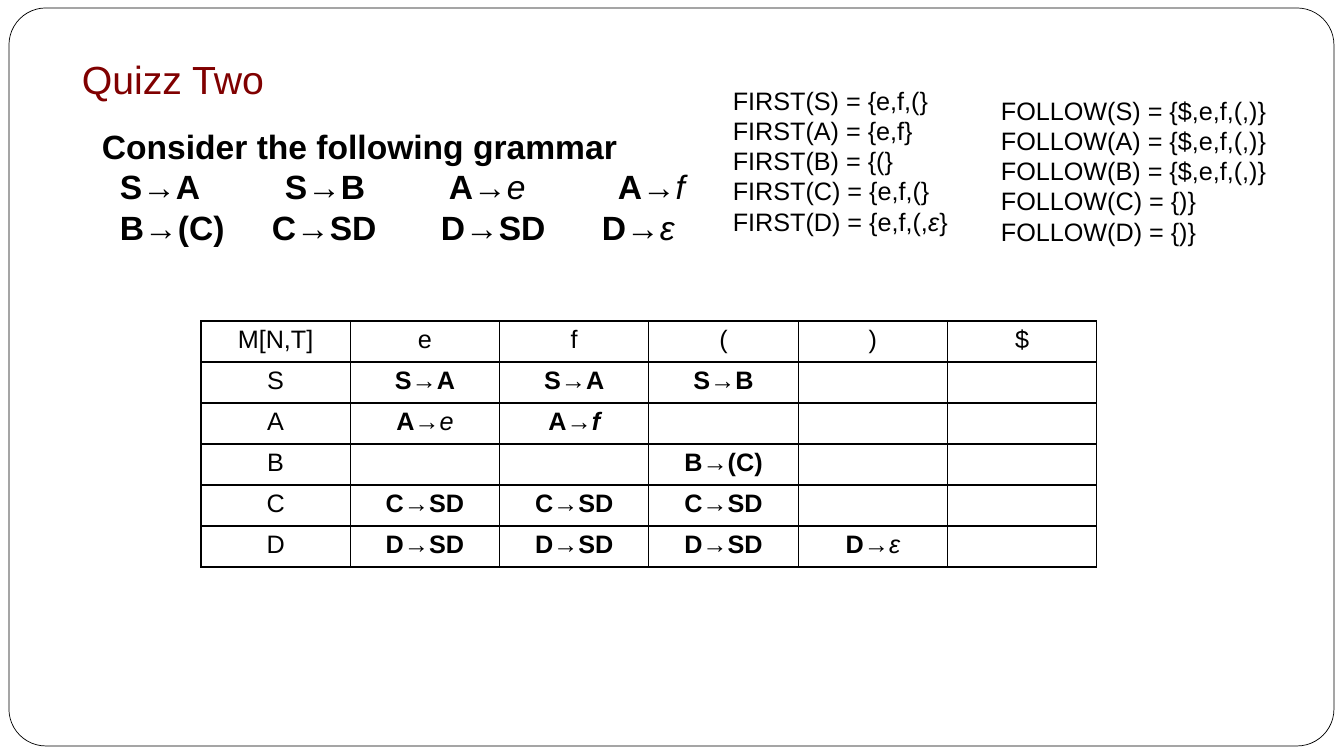
from dataclasses import dataclass
from typing import NamedTuple

from lxml import etree
from pptx import Presentation
from pptx.dml.color import RGBColor
from pptx.enum.shapes import MSO_SHAPE
from pptx.enum.text import MSO_ANCHOR, PP_ALIGN
from pptx.oxml.ns import qn
from pptx.util import Emu, Pt

ROUNDED = MSO_SHAPE.ROUNDED_RECTANGLE
CENTER = PP_ALIGN.CENTER
TOP = MSO_ANCHOR.TOP
EMU_PER_PIXEL = 914400 / 100.8
ARROW = "→"
EPSILON = "ε"


@dataclass(frozen=True)
class Theme:
    """Colours and type sizes of the slide."""
    font: str = "Arial"
    ink: str = "000000"
    paper: str = "FFFFFF"
    accent: str = "800000"
    title_size: int = 28
    grammar_size: int = 24
    body_size: int = 18
    frame_line: float = 0.5
    grid_line: float = 1


class Span(NamedTuple):
    """A stretch of text in one style."""
    text: str
    bold: bool = False
    italic: bool = False


class Line(NamedTuple):
    """A paragraph with its tab stops in pixels."""
    spans: list[Span]
    tabs: tuple[int, ...] = ()


class TextBlock(NamedTuple):
    """A text box: place in pixels, lines and look."""
    left: int
    top: int
    width: int
    height: int
    lines: list[Line]
    size: int
    color: str
    wrap: bool = True


THEME = Theme()


def px(pixels: float) -> Emu:
    """Turn pixels into EMU."""
    return Emu(round(pixels * EMU_PER_PIXEL))


def plain(text: str) -> Line:
    """Make a line of one regular span."""
    return Line([Span(text)])


def production(rule: str, bold_terminal: bool = False) -> list[Span]:
    """Style a grammar rule: bold, with a single terminal in italics."""
    head, body = rule.split(ARROW)
    if body.islower():
        return [Span(head + ARROW, True), Span(body, bold_terminal, True)]
    return [Span(rule, True)]


def grammar_line(rules: str, tabs: tuple[int, ...]) -> Line:
    """Set each rule of a line at its own tab stop."""
    spans = []
    for rule in rules.split():
        spans += [Span("\t", True), *production(rule)]
    return Line(spans, tabs)


def add_spans(para, spans: list[Span], size: int, color: str) -> None:
    """Write spans into a paragraph, run by run."""
    for span in spans:
        run = para.add_run()
        run.text = span.text
        run.font.name = THEME.font
        run.font.size = Pt(size)
        run.font.bold = span.bold
        run.font.italic = span.italic
        run.font.color.rgb = RGBColor.from_string(color)


def set_tabs(para, tabs: tuple[int, ...]) -> None:
    """Give a paragraph left tab stops."""
    tab_list = etree.SubElement(para._p.get_or_add_pPr(), qn("a:tabLst"))
    for tab in tabs:
        etree.SubElement(tab_list, qn("a:tab"), pos=str(px(tab)), algn="l")


def add_block(page, block: TextBlock) -> None:
    """Place a text box with its lines."""
    box = page.shapes.add_textbox(
        px(block.left), px(block.top), px(block.width), px(block.height))
    frame = box.text_frame
    frame.word_wrap = block.wrap
    frame.vertical_anchor = TOP
    for index, line in enumerate(block.lines):
        para = frame.add_paragraph() if index else frame.paragraphs[0]
        if line.tabs:
            set_tabs(para, line.tabs)
        add_spans(para, line.spans, block.size, block.color)


def add_frame(page) -> None:
    """Draw the rounded frame around the slide."""
    frame = page.shapes.add_shape(ROUNDED, px(9), px(8), px(1325), px(738))
    frame.adjustments[0] = 0.05
    frame.shadow.inherit = False
    frame.fill.solid()
    frame.fill.fore_color.rgb = RGBColor.from_string(THEME.paper)
    frame.line.color.rgb = RGBColor.from_string(THEME.ink)
    frame.line.width = Pt(THEME.frame_line)


def set_borders(cell) -> None:
    """Rule all four sides of a cell."""
    properties = cell._tc.get_or_add_tcPr()
    for position, side in enumerate(("lnL", "lnR", "lnT", "lnB")):
        border = etree.Element(qn(f"a:{side}"), w=str(Pt(THEME.grid_line)))
        fill = etree.SubElement(border, qn("a:solidFill"))
        etree.SubElement(fill, qn("a:srgbClr"), val=THEME.ink)
        properties.insert(position, border)


def add_parse_table(page, rows: list[list[list[Span]]]) -> None:
    """Draw the parsing table with equal columns and rows."""
    columns = len(rows[0])
    table = page.shapes.add_table(
        len(rows), columns, px(201), px(321), px(896), px(246)).table
    table.first_row = False
    table.horz_banding = False
    for row_index, row in enumerate(rows):
        for column_index in range(columns):
            cell = table.cell(row_index, column_index)
            cell.fill.background()
            set_borders(cell)
            para = cell.text_frame.paragraphs[0]
            para.alignment = CENTER
            para.font.size = Pt(THEME.body_size)
            if column_index < len(row):
                add_spans(para, row[column_index], THEME.body_size, THEME.ink)


def parse_row(nonterminal: str, *rules: str) -> list[list[Span]]:
    """Make a table row; an empty rule leaves its cell empty."""
    cells = [production(rule, rule.endswith("f")) if rule else []
             for rule in rules]
    return [[Span(nonterminal)], *cells]


GRAMMAR = [
    Line([Span("Consider the following grammar", True)]),
    grammar_line("S→A S→B A→e A→f", (18, 183, 347, 516)),
    grammar_line("B→(C) C→SD D→SD D→ε", (18, 170, 339, 500)),
]
FIRST = [plain(f"FIRST({name}) = {{{items}}}") for name, items in
         (("S", "e,f,("), ("A", "e,f"), ("B", "("), ("C", "e,f,("))]
FIRST.append(Line([Span("FIRST(D) = {e,f,(,"), Span(EPSILON, italic=True),
                   Span("}")]))
FOLLOW = [plain(f"FOLLOW({name}) = {{{'$,e,f,(,)' if name in 'SAB' else ')'}}}")
          for name in "SABCD"]
BLOCKS = [
    TextBlock(72, 50, 1156, 57, [plain("Quizz Two")],
              THEME.title_size, THEME.accent),
    TextBlock(92, 121, 937, 132, GRAMMAR, THEME.grammar_size, THEME.ink),
    TextBlock(723, 80, 237, 163, FIRST, THEME.body_size, THEME.ink, False),
    TextBlock(991, 90, 288, 163, FOLLOW, THEME.body_size, THEME.ink, False),
]
PARSE_TABLE = [
    [[Span(label)] for label in ("M[N,T]", "e", "f", "(", ")", "$")],
    parse_row("S", "S→A", "S→A", "S→B"),
    parse_row("A", "A→e", "A→f"),
    parse_row("B", "", "", "B→(C)"),
    parse_row("C", "C→SD", "C→SD", "C→SD"),
    parse_row("D", "D→SD", "D→SD", "D→SD", "D→ε"),
]

deck = Presentation()
deck.slide_width, deck.slide_height = px(1344), px(756)
page = deck.slides.add_slide(deck.slide_layouts[6])
add_frame(page)
for text_block in BLOCKS:
    add_block(page, text_block)
add_parse_table(page, PARSE_TABLE)
deck.save("out.pptx")
